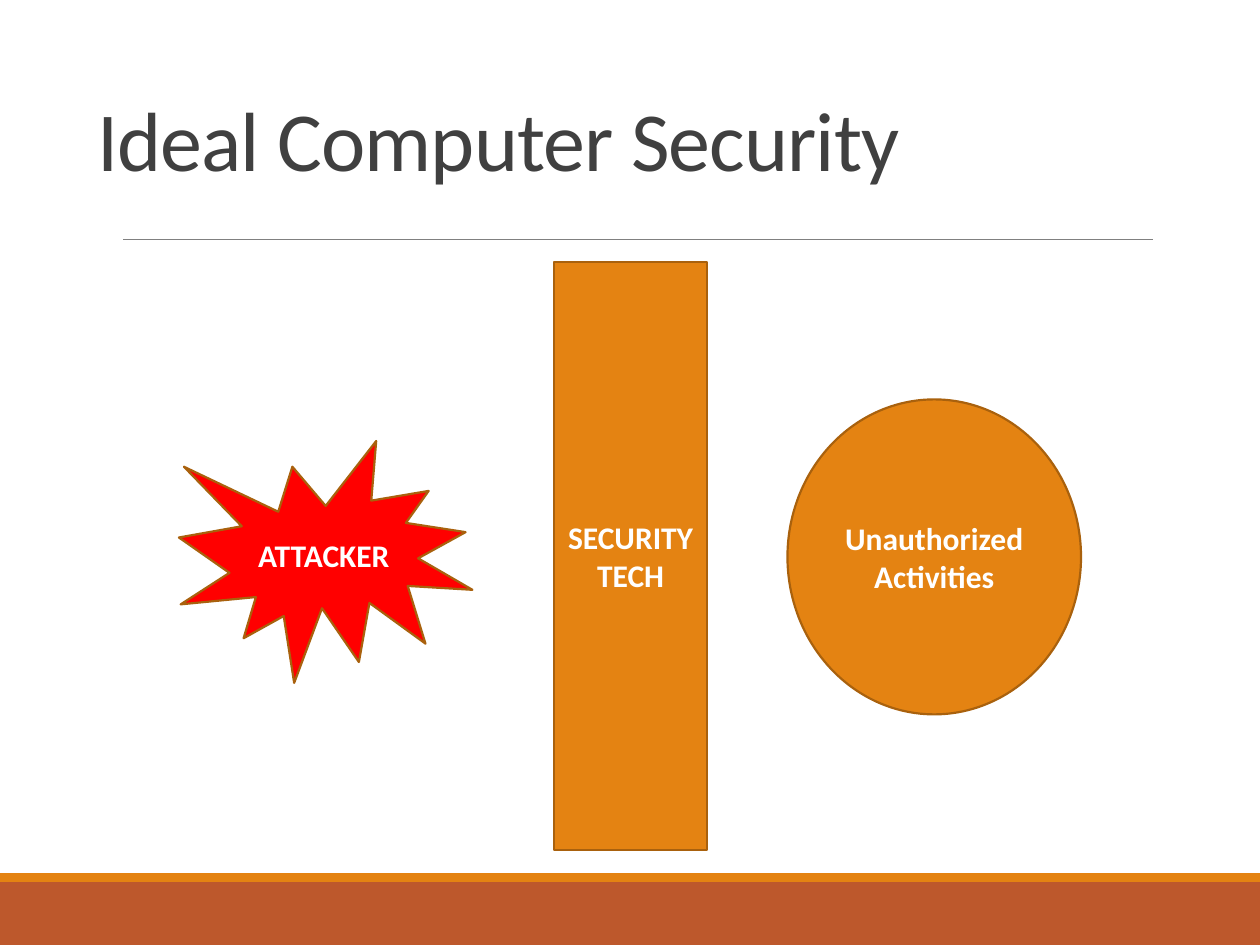
from dataclasses import dataclass

from lxml.etree import SubElement
from pptx import Presentation
from pptx.dml.color import RGBColor
from pptx.enum.shapes import MSO_CONNECTOR, MSO_SHAPE
from pptx.enum.text import MSO_ANCHOR, PP_ALIGN
from pptx.oxml.ns import qn
from pptx.util import Inches, Pt


@dataclass(frozen=True)
class Theme:
    font: str = "Calibri"
    title_size: float = 48
    label_size: float = 18
    title_spacing: float = -0.5
    outline_width: float = 1.25
    rule_width: float = 0.5
    title_color: str = "404040"
    label_color: str = "FFFFFF"
    orange: str = "E48312"
    outline: str = "A9610D"
    rust: str = "BD582C"
    red: str = "FF0000"
    gray: str = "808080"


class SlideBuilder:
    def __init__(self, page, theme):
        self.page = page
        self.theme = theme

    def format_font(self, font, size, color, bold=False):
        font.name = self.theme.font
        font.size = Pt(size)
        font.bold = bold
        font.color.rgb = RGBColor.from_string(color)

    def title(self, text, left, top, width, height):
        box = self.page.shapes.title
        box.left, box.top = Inches(left), Inches(top)
        box.width, box.height = Inches(width), Inches(height)
        frame = box.text_frame
        frame.text = text
        frame.word_wrap = True
        frame.vertical_anchor = MSO_ANCHOR.BOTTOM
        para = frame.paragraphs[0]
        para.alignment = PP_ALIGN.LEFT
        para.line_spacing = 0.85
        span = para.runs[0]
        self.format_font(span.font, self.theme.title_size, self.theme.title_color)
        span._r.get_or_add_rPr().set("spc", str(round(self.theme.title_spacing * 100)))

    def rule(self, left, right, top):
        line = self.page.shapes.add_connector(
            MSO_CONNECTOR.STRAIGHT, Inches(left), Inches(top), Inches(right), Inches(top)
        )
        line.line.color.rgb = RGBColor.from_string(self.theme.gray)
        line.line.width = Pt(self.theme.rule_width)
        SubElement(line._element.spPr, qn("a:effectLst"))

    def shape(self, kind, left, top, width, height, fill):
        """Add a filled shape with neither outline nor shadow."""
        shape = self.page.shapes.add_shape(
            kind, Inches(left), Inches(top), Inches(width), Inches(height)
        )
        shape.shadow.inherit = False
        shape.fill.solid()
        shape.fill.fore_color.rgb = RGBColor.from_string(fill)
        shape.line.fill.background()
        return shape

    def labelled_shape(self, text, kind, left, top, width, height, fill):
        shape = self.shape(kind, left, top, width, height, fill)
        shape.line.color.rgb = RGBColor.from_string(self.theme.outline)
        shape.line.width = Pt(self.theme.outline_width)
        frame = shape.text_frame
        frame.text = text
        frame.word_wrap = True
        frame.vertical_anchor = MSO_ANCHOR.MIDDLE
        para = frame.paragraphs[0]
        para.alignment = PP_ALIGN.CENTER
        self.format_font(
            para.runs[0].font, self.theme.label_size, self.theme.label_color, bold=True
        )


def main():
    deck = Presentation()
    deck.slide_width, deck.slide_height = Inches(10), Inches(7.5)
    theme = Theme()
    page = deck.slides.add_slide(deck.slide_layouts[5])
    builder = SlideBuilder(page, theme)

    builder.shape(MSO_SHAPE.RECTANGLE, 0, 7, 10, 0.5, theme.rust)
    builder.shape(MSO_SHAPE.RECTANGLE, 0, 6.93, 10, 0.07, theme.orange)
    builder.rule(0.98, 9.15, 1.9)
    builder.title("Ideal Computer Security", 0.67, 0.3, 8.67, 1.25)

    builder.labelled_shape(
        "Unauthorized Activities", MSO_SHAPE.OVAL, 6.25, 3.17, 2.33, 2.5, theme.orange
    )
    builder.labelled_shape(
        "ATTACKER", MSO_SHAPE.EXPLOSION1, 1.42, 3.5, 2.33, 1.92, theme.red
    )
    builder.labelled_shape(
        "SECURITY TECH", MSO_SHAPE.RECTANGLE, 4.4, 2.08, 1.21, 4.67, theme.orange
    )
    deck.save("out.pptx")


if __name__ == "__main__":
    main()
